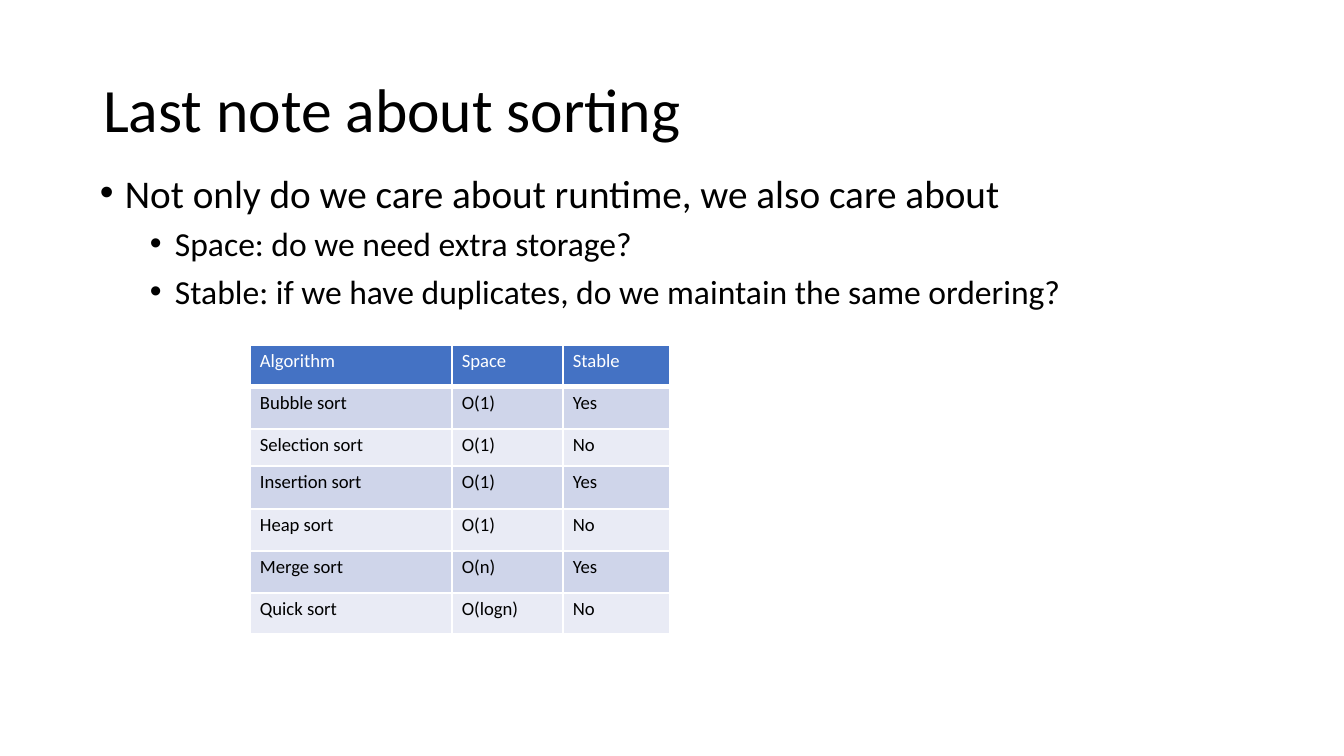
from lxml.etree import SubElement
from pptx import Presentation
from pptx.dml.color import RGBColor
from pptx.enum.text import MSO_ANCHOR, MSO_AUTO_SIZE, PP_ALIGN
from pptx.oxml.ns import qn
from pptx.util import Emu, Pt


class Theme:
    font = "Calibri"
    black = "000000"
    white = "FFFFFF"
    blue = "4472C4"
    bands = ("CFD5EA", "E9EBF5")
    title = 33
    lead = 21
    sub = 18
    cell = 10


def px(n):
    return Emu(round(n * 9144000 / 1344))


def write(para, text, size, color=Theme.black):
    run = para.add_run()
    run.text = text
    run.font.name = Theme.font
    run.font.size = Pt(size)
    run.font.bold = False
    run.font.color.rgb = RGBColor.from_string(color)


deck = Presentation()
deck.slide_width, deck.slide_height = px(1344), px(756)
slide = deck.slides.add_slide(deck.slide_layouts[5])

title = slide.shapes.title
title.left, title.top, title.width, title.height = px(93), px(40), px(1159), px(146)
body = slide.shapes.add_textbox(px(90), px(164), px(1159), px(480))

for shape, anchor in ((title, MSO_ANCHOR.MIDDLE), (body, MSO_ANCHOR.TOP)):
    frame = shape.text_frame
    frame.word_wrap = True
    frame.auto_size = MSO_AUTO_SIZE.NONE
    frame.vertical_anchor = anchor
    frame.margin_left = frame.margin_right = px(10)
    frame.margin_top = frame.margin_bottom = px(5)

para = title.text_frame.paragraphs[0]
para.alignment = PP_ALIGN.LEFT
para.line_spacing = 0.9
write(para, "Last note about sorting", Theme.title)

points = (
    (0, "Not only do we care about runtime, we also care about"),
    (1, "Space: do we need extra storage?"),
    (1, "Stable: if we have duplicates, do we maintain the same ordering?"),
)
styles = ((Theme.lead, 7.5, 25), (Theme.sub, 3.8, 75))
frame = body.text_frame
for i, (level, text) in enumerate(points):
    size, gap, indent = styles[level]
    para = frame.add_paragraph() if i else frame.paragraphs[0]
    para.level = level
    para.space_before = Pt(gap)
    props = para._p.get_or_add_pPr()
    props.set("marL", str(px(indent)))
    props.set("indent", str(px(-25)))
    SubElement(props, qn("a:buFont")).set("typeface", "Arial")
    SubElement(props, qn("a:buChar")).set("char", "•")
    write(para, text, size)

rows = (
    ("Algorithm", "Space", "Stable"),
    ("Bubble sort", "O(1)", "Yes"),
    ("Selection sort", "O(1)", "No"),
    ("Insertion sort", "O(1)", "Yes"),
    ("Heap sort", "O(1)", "No"),
    ("Merge sort", "O(n)", "Yes"),
    ("Quick sort", "O(logn)", "No"),
)
widths = (202, 111, 107)
heights = (42, 42, 37, 43, 42, 42, 41)
grid = slide.shapes.add_table(
    len(rows), len(widths), px(250), px(345), px(sum(widths)), px(sum(heights))
).table
for col, width in zip(grid.columns, widths):
    col.width = px(width)
for row, height in zip(grid.rows, heights):
    row.height = px(height)

for r, row in enumerate(rows):
    fill = Theme.bands[(r - 1) % 2] if r else Theme.blue
    color = Theme.black if r else Theme.white
    for c, text in enumerate(row):
        cell = grid.cell(r, c)
        cell.margin_left = cell.margin_right = px(10)
        cell.margin_top = cell.margin_bottom = px(5)
        props = cell._tc.get_or_add_tcPr()
        for side in ("L", "R", "T", "B"):
            line = SubElement(props, qn("a:ln" + side))
            line.set("w", str(Pt(3 if r == 0 and side == "B" else 1)))
            solid = SubElement(line, qn("a:solidFill"))
            SubElement(solid, qn("a:srgbClr")).set("val", Theme.white)
        cell.fill.solid()
        cell.fill.fore_color.rgb = RGBColor.from_string(fill)
        write(cell.text_frame.paragraphs[0], text, Theme.cell, color)

deck.save("out.pptx")
